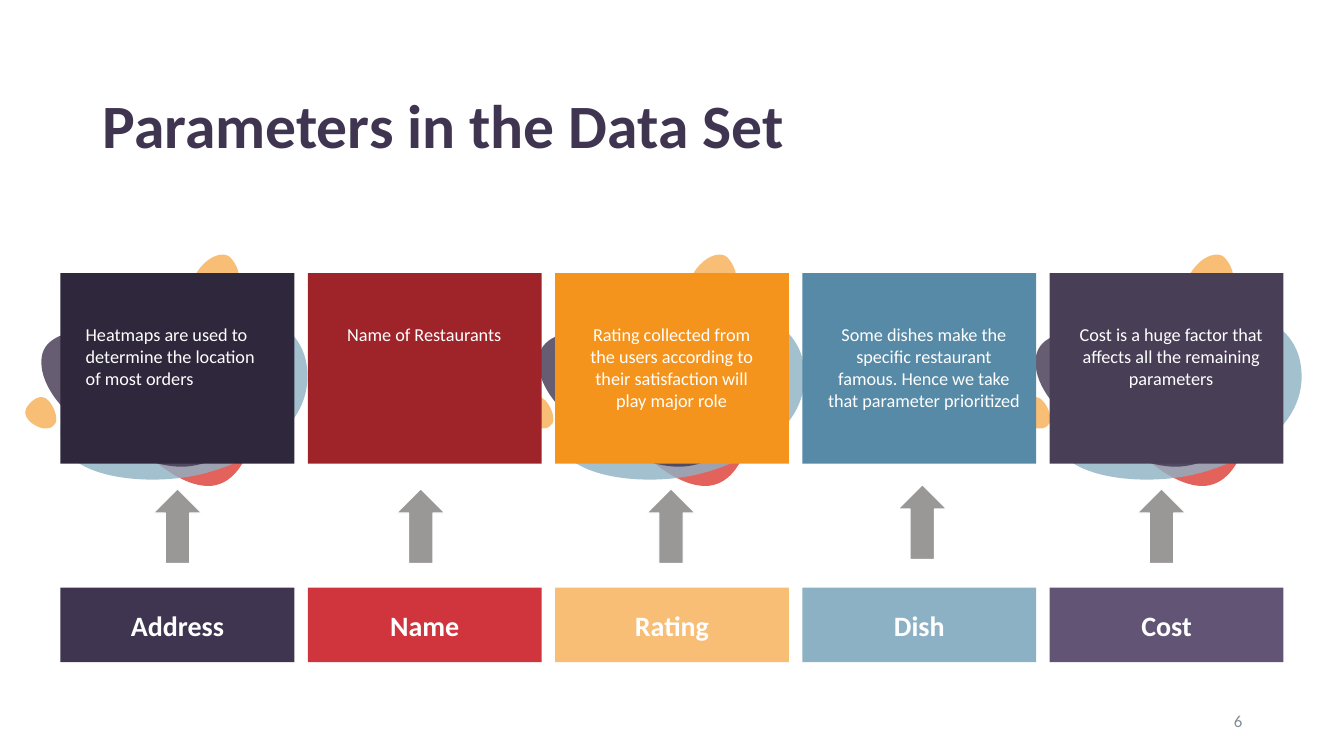
import pptx
import pptx.dml.color
import pptx.enum.shapes
import pptx.enum.text
import pptx.oxml.ns
import pptx.util
from lxml import etree

SHAPE = pptx.enum.shapes.MSO_SHAPE
ALIGN = pptx.enum.text.PP_ALIGN
ANCHOR = pptx.enum.text.MSO_ANCHOR

LEFT, PITCH, COL_W = 0.6, 2.4525, 2.32
SPLASH_LEFT, SPLASH_TOP, SPLASH_PITCH = 0.25, 2.53, 4.93

COLUMNS = [
    ("Address", "Heatmaps are used to determine the location of most orders",
     "403551", "2F273C", 1.81, (0, 0), ALIGN.LEFT),
    ("Name", "Name of Restaurants",
     "D0343C", "9E242A", 1.81, (-0.04, 0), ALIGN.CENTER),
    ("Rating", "Rating collected from the users according to their satisfaction will play major role",
     "F9BE75", "F5941D", 1.81, (-0.01, 0), ALIGN.CENTER),
    ("Dish", "Some dishes make the specific restaurant famous. Hence we take that parameter prioritized",
     "8DB1C4", "568AA6", 1.91, (0.03, -0.04), ALIGN.CENTER),
    ("Cost", "Cost is a huge factor that affects all the remaining parameters",
     "615474", "483F57", 1.91, (-0.05, 0), ALIGN.CENTER),
]

BLOBS = [
    ("E4625C", 100, [(0.72, 1.55), (1.4, 2.33), (1.85, 2.29), (2.3, 2.24), (2.36, 1.39), (2.32, 0.95),
                     (2.28, 0.51), (1.87, 0.19), (1.42, 0.23), (0.97, 0.28), (0.63, 0.67), (0.68, 1.11)]),
    ("8DB1C4", 80, [(0.51, 2.19), (1.12, 2.28), (1.62, 2.2), (2.11, 2.12), (2.9, 1.75), (2.79, 1.08),
                    (2.75, 0.82), (2.47, 0.36), (1.45, 0.66), (0.88, 0.83), (0.2, 1.51), (0.38, 1.9)]),
    ("403551", 80, [(0.16, 1.56), (1.05, 2.1), (1.55, 2.1), (2.04, 2.1), (2.57, 1.56), (2.57, 1.06),
                    (2.57, 0.56), (2.37, 0.22), (1.63, 0.6), (1.2, 0.83), (0.16, 0.56), (0.16, 1.06)]),
    ("F9BE75", 100, [(1.75, 0.43), (1.98, 0.41), (2.08, 0.31), (2.17, 0.22), (2.09, 0.08), (2.03, 0.02),
                     (1.97, -0.03), (1.85, 0), (1.76, 0.1), (1.66, 0.2), (1.64, 0.32), (1.69, 0.38)]),
    ("F9BE75", 100, [(0.33, 1.62), (0.28, 1.47), (0.2, 1.42), (0.12, 1.38), (0.04, 1.47), (0.01, 1.52),
                     (-0.02, 1.57), (0.02, 1.65), (0.1, 1.69), (0.18, 1.74), (0.27, 1.73), (0.3, 1.67)]),
]


def rgb(value):
    """Turn a hex string into a colour."""
    return pptx.dml.color.RGBColor.from_string(value)


def paint(sp, fill, alpha=100, line=None):
    """Give a shape a flat fill, an optional thin outline and no shadow."""
    sp.shadow.inherit = False
    sp.fill.solid()
    sp.fill.fore_color.rgb = rgb(fill)
    if alpha < 100:
        colour = next(sp._element.spPr.iter(pptx.oxml.ns.qn("a:srgbClr")))
        etree.SubElement(colour, pptx.oxml.ns.qn("a:alpha"), val=str(alpha * 1000))
    if line:
        sp.line.color.rgb = rgb(line)
        sp.line.width = pptx.util.Pt(0.75)
    else:
        sp.line.fill.background()


def write(sp, text, size, color="FFFFFF", bold=False, align=ALIGN.CENTER,
          anchor=ANCHOR.MIDDLE, inset=(0.1, 0.05), spacing=None):
    """Write one formatted paragraph into a shape."""
    tf = sp.text_frame
    tf.word_wrap = True
    tf.vertical_anchor = anchor
    tf.margin_left = tf.margin_right = pptx.util.Inches(inset[0])
    tf.margin_top = tf.margin_bottom = pptx.util.Inches(inset[1])
    p = tf.paragraphs[0]
    p.alignment = align
    p.line_spacing = spacing
    r = p.add_run()
    r.text = text
    r.font.name, r.font.size, r.font.bold = "Calibri", pptx.util.Pt(size), bold
    r.font.color.rgb = rgb(color)


def add_text(s, box, text, **style):
    """Add a text box at a box given in inches."""
    write(s.shapes.add_textbox(*map(pptx.util.Inches, box)), text, **style)


def add_preset(s, kind, box, fill, line=None):
    """Add a painted preset shape at a box given in inches."""
    sp = s.shapes.add_shape(kind, *map(pptx.util.Inches, box))
    paint(sp, fill, line=line)
    return sp


def bend(sp):
    """Turn each three line segments of an outline into one cubic curve."""
    qn = pptx.oxml.ns.qn
    lines = list(sp._element.iter(qn("a:lnTo")))
    for i in range(0, len(lines), 3):
        curve = etree.Element(qn("a:cubicBezTo"))
        lines[i].addprevious(curve)
        for line in lines[i:i + 3]:
            curve.append(line[0])
            line.getparent().remove(line)


def add_splash(s, left, top):
    """Group the coloured blobs of one splash at a corner."""
    group = s.shapes.add_group_shape()
    for fill, alpha, outline in BLOBS:
        points = [(pptx.util.Inches(left + x), pptx.util.Inches(top + y)) for x, y in outline]
        builder = group.shapes.build_freeform(*points[-1], scale=1.0)
        builder.add_line_segments(points, close=True)
        sp = builder.convert_to_shape()
        bend(sp)
        paint(sp, fill, alpha)


def add_column(s, left, name, description, label_fill, card_fill, text_w, shift, align):
    """Place a card, its description, an arrow and a label in one column."""
    add_preset(s, SHAPE.RECTANGLE, (left, 2.71, COL_W, 1.89), card_fill)
    add_text(s, (left + 0.25, 3.21, text_w, 0.88), description, size=13,
             align=align, anchor=ANCHOR.TOP, inset=(0, 0))
    label = add_preset(s, SHAPE.RECTANGLE, (left, 5.83, COL_W, 0.74), label_fill)
    write(label, name, size=20, bold=True)
    dx, dy = shift
    arrow_left = left + (COL_W - 0.48) / 2 + dx
    add_preset(s, SHAPE.UP_ARROW, (arrow_left, 4.85 + dy, 0.48, 0.74), "9A9797", line="FFFFFF")


def build_slide(prs):
    """Build the slide of data set parameters."""
    s = prs.slides.add_slide(prs.slide_layouts[6])
    for i in range(3):
        add_splash(s, SPLASH_LEFT + i * SPLASH_PITCH, SPLASH_TOP)
    add_text(s, (0.92, 0.66, 11.5, 1.24), "Parameters in the Data Set", size=44,
             color="403551", bold=True, align=ALIGN.LEFT, spacing=0.9)
    for i, column in enumerate(COLUMNS):
        add_column(s, LEFT + i * PITCH, *column)
    add_text(s, (9.42, 6.95, 3, 0.4), "6", size=12, color="838C97", align=ALIGN.RIGHT)


def main():
    """Create and save the presentation."""
    prs = pptx.Presentation()
    prs.slide_width = pptx.util.Inches(13.33)
    prs.slide_height = pptx.util.Inches(7.5)
    build_slide(prs)
    prs.save("out.pptx")


if __name__ == "__main__":
    main()
